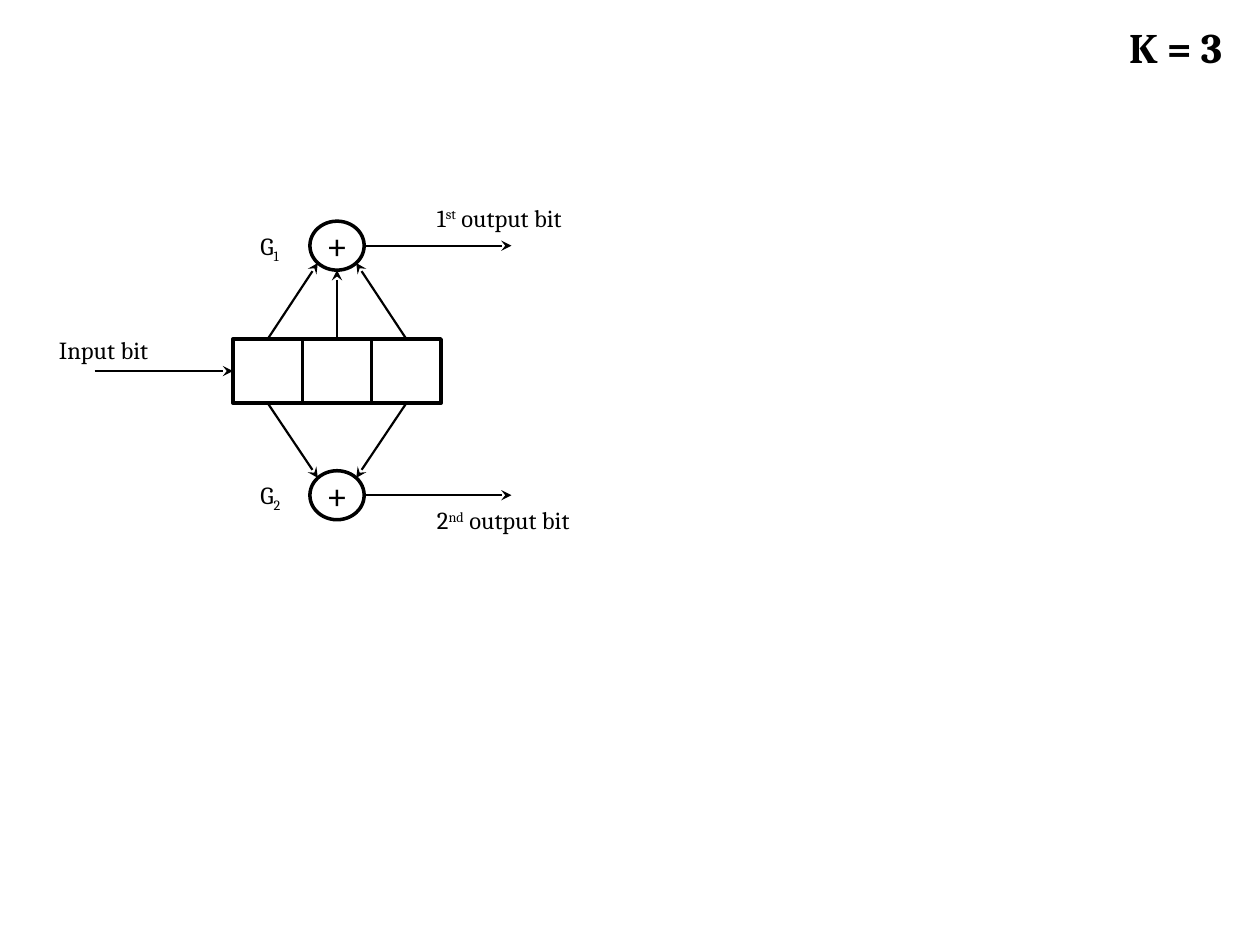
from pptx import Presentation
from pptx.dml.color import RGBColor
from pptx.enum.shapes import MSO_CONNECTOR, MSO_SHAPE
from pptx.enum.text import MSO_ANCHOR, MSO_AUTO_SIZE, PP_ALIGN
from pptx.oxml.ns import qn
from pptx.util import Pt
from lxml import etree

RECTANGLE, OVAL = MSO_SHAPE.RECTANGLE, MSO_SHAPE.OVAL
STRAIGHT = MSO_CONNECTOR.STRAIGHT
TOP, MIDDLE = MSO_ANCHOR.TOP, MSO_ANCHOR.MIDDLE
LEFT, CENTER = PP_ALIGN.LEFT, PP_ALIGN.CENTER
FIT_SHAPE, FIXED = MSO_AUTO_SIZE.SHAPE_TO_FIT_TEXT, MSO_AUTO_SIZE.NONE
SITE_TOP, SITE_LEFT, SITE_BOTTOM = 0, 1, 2

BLACK, WHITE = "000000", "FFFFFF"
CELL_LEFT, CELL_TOP, CELL_W, CELL_H = 133.2, 193.7, 39.6, 36.7
ADDER_W, ADDER_H = 31, 28
CENTER_X = CELL_LEFT + 1.5 * CELL_W
CENTER_Y = CELL_TOP + CELL_H / 2
G1_Y, G2_Y = 140.4, 283
OUTPUT_END = 292.3
DIAGONAL = 0.5 ** 0.5


def color(hex_code):
    return RGBColor.from_string(hex_code)


def set_font(paragraph, size, name="Cambria", bold=False):
    font = paragraph.font
    font.size, font.name, font.bold = Pt(size), name, bold
    font.color.rgb = color(BLACK)


def add_outlined(slide, kind, left, top, width, height):
    shape = slide.shapes.add_shape(kind, Pt(left), Pt(top), Pt(width), Pt(height))
    shape.shadow.inherit = False
    shape.fill.solid()
    shape.fill.fore_color.rgb = color(WHITE)
    shape.line.color.rgb = color(BLACK)
    shape.line.width = Pt(2)
    return shape


def add_adder(slide, center_y):
    adder = add_outlined(slide, OVAL, CENTER_X - ADDER_W / 2,
                         center_y - ADDER_H / 2, ADDER_W, ADDER_H)
    frame = adder.text_frame
    frame.margin_left = frame.margin_right = frame.margin_top = frame.margin_bottom = 0
    frame.vertical_anchor = MIDDLE
    plus = frame.paragraphs[0]
    plus.text = "+"
    plus.alignment = CENTER
    set_font(plus, 20, "Calibri")


def add_arrow(slide, x1, y1, x2, y2):
    arrow = slide.shapes.add_connector(STRAIGHT, Pt(x1), Pt(y1), Pt(x2), Pt(y2))
    arrow.line.color.rgb = color(BLACK)
    arrow.line.width = Pt(1.25)
    etree.SubElement(arrow.line._get_or_add_ln(), qn("a:tailEnd"), type="stealth")
    etree.SubElement(arrow._element.spPr, qn("a:effectLst"))
    return arrow


def add_tap(slide, cell, site, x, y):
    """Arrow from the top or bottom of a register cell to an adder."""
    add_arrow(slide, CENTER_X, CENTER_Y, x, y).begin_connect(cell, site)


def add_label(slide, left, top, width, *parts):
    """Each part is a text with its baseline shift in thousandths of a percent."""
    box = slide.shapes.add_textbox(Pt(left), Pt(top), Pt(width), Pt(24.2))
    frame = box.text_frame
    frame.word_wrap = True
    frame.auto_size = FIT_SHAPE
    label = frame.paragraphs[0]
    set_font(label, 14)
    for text, baseline in parts:
        run = label.add_run()
        run.text = text
        if baseline:
            run.font._element.set("baseline", str(baseline))


def add_title(slide, text):
    title = slide.shapes.title
    title.left, title.top, title.width, title.height = Pt(638), Pt(8.6), Pt(72.7), Pt(36)
    frame = title.text_frame
    frame.text = text
    frame.auto_size = FIXED
    frame.vertical_anchor = TOP
    heading = frame.paragraphs[0]
    heading.alignment = LEFT
    set_font(heading, 24, bold=True)


def main():
    prs = Presentation()
    prs.slide_width, prs.slide_height = Pt(720), Pt(540)
    slide = prs.slides.add_slide(prs.slide_layouts[5])
    add_title(slide, "K = 3")

    # Shift register
    cells = [add_outlined(slide, RECTANGLE, CELL_LEFT + i * CELL_W, CELL_TOP,
                          CELL_W, CELL_H) for i in range(3)]

    # Adders with their output arrows
    for center_y in (G1_Y, G2_Y):
        add_adder(slide, center_y)
        add_arrow(slide, CENTER_X + ADDER_W / 2, center_y, OUTPUT_END, center_y)

    # Taps: G1 uses all three cells, G2 the outer two
    dx, dy = ADDER_W / 2 * DIAGONAL, ADDER_H / 2 * DIAGONAL
    for cell, side in ((cells[0], -1), (cells[2], 1)):
        add_tap(slide, cell, SITE_TOP, CENTER_X + side * dx, G1_Y + dy)
        add_tap(slide, cell, SITE_BOTTOM, CENTER_X + side * dx, G2_Y - dy)
    add_tap(slide, cells[1], SITE_TOP, CENTER_X, G1_Y + ADDER_H / 2)

    # Input arrow
    input_arrow = add_arrow(slide, 54, CENTER_Y, CELL_LEFT, CENTER_Y)
    input_arrow.end_connect(cells[0], SITE_LEFT)

    # Labels
    add_label(slide, 26.6, 188, 67.7, ("Input bit", 0))
    add_label(slide, 242.6, 112.3, 104, ("1", 0), ("st", 30000), (" output bit", 0))
    add_label(slide, 242.6, 285.1, 104, ("2", 0), ("nd", 30000), (" output bit", 0))
    for number, center_y in (("1", G1_Y), ("2", G2_Y)):
        add_label(slide, 141.8, center_y - 12.2, 31, ("G", 0), (number, -25000))

    prs.save("out.pptx")


if __name__ == "__main__":
    main()
